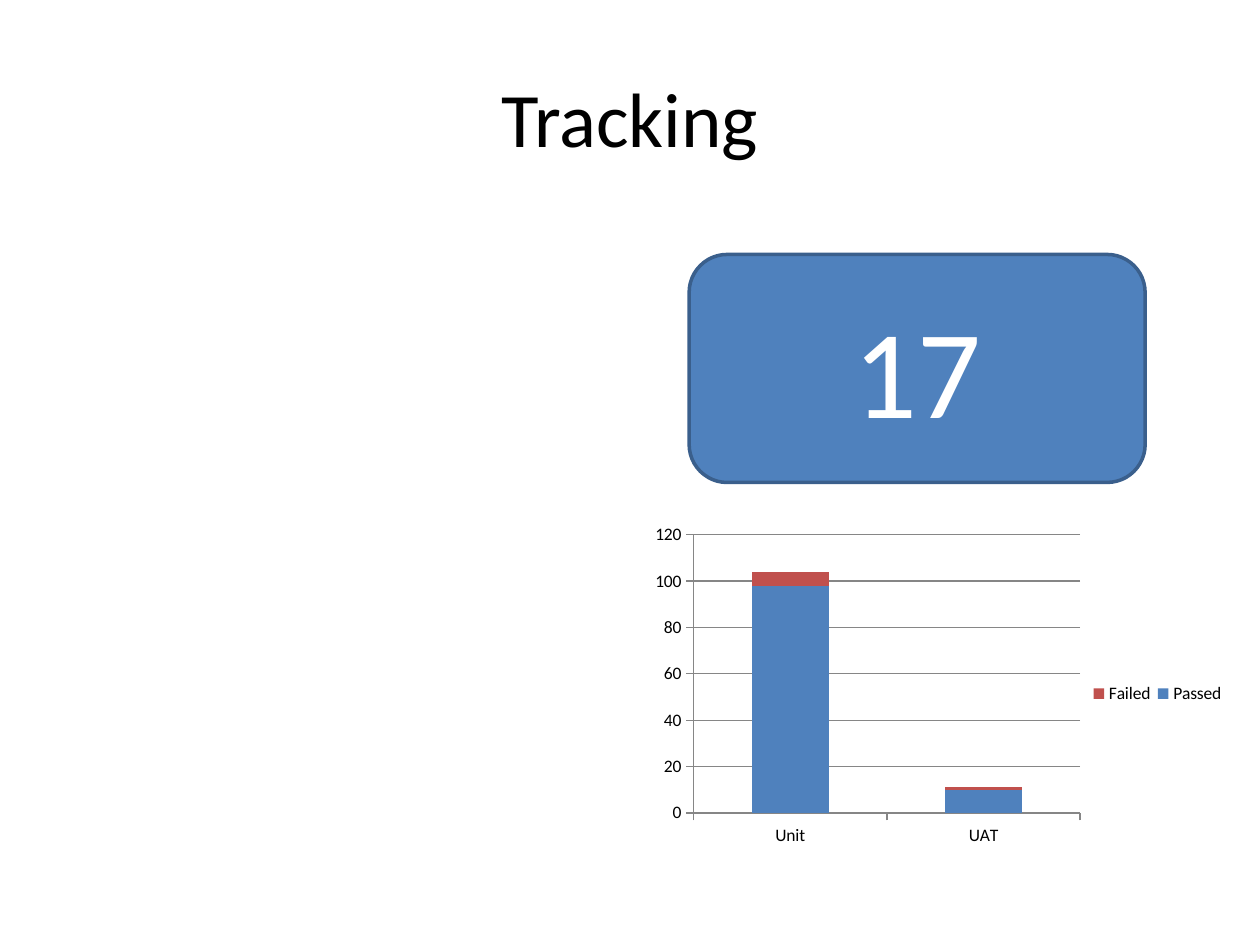
from lxml import etree
from pptx import Presentation
from pptx.chart.data import CategoryChartData
from pptx.dml.color import RGBColor
from pptx.enum.chart import XL_CHART_TYPE, XL_LEGEND_POSITION, XL_TICK_MARK
from pptx.enum.shapes import MSO_SHAPE
from pptx.enum.text import MSO_ANCHOR, PP_ALIGN
from pptx.oxml.ns import qn
from pptx.util import Pt

STACKED = XL_CHART_TYPE.COLUMN_STACKED
RIGHT = XL_LEGEND_POSITION.RIGHT
OUTSIDE = XL_TICK_MARK.OUTSIDE
ROUNDED = MSO_SHAPE.ROUNDED_RECTANGLE
MIDDLE = MSO_ANCHOR.MIDDLE
CENTER = PP_ALIGN.CENTER


def color(hex_value):
    return RGBColor.from_string(hex_value)


def format_font(font, size, hex_value):
    font.name = "Calibri"
    font.size = Pt(size)
    font.color.rgb = color(hex_value)


def write(frame, text, size=18, hex_value="000000", align=CENTER):
    frame.word_wrap = True
    frame.vertical_anchor = MIDDLE
    paragraph = frame.paragraphs[0]
    paragraph.alignment = align
    run = paragraph.add_run()
    run.text = text
    format_font(run.font, size, hex_value)


def place(parent, bounds, inner=False):
    layout = parent.find(qn("c:layout"))
    if layout is None:
        layout = etree.Element(qn("c:layout"))
        parent.insert(0, layout)
    manual = etree.SubElement(layout, qn("c:manualLayout"))
    settings = [("layoutTarget", "inner")] if inner else []
    settings += [("xMode", "edge"), ("yMode", "edge"), *zip("xywh", bounds)]
    for tag, value in settings:
        etree.SubElement(manual, qn(f"c:{tag}")).set("val", str(value))


class Deck:
    """Holds the style and the current slide."""

    accent, border, failure, rule = "4F81BD", "3A5F8C", "C0504D", "868686"

    def __init__(self):
        self.presentation = Presentation()
        self.presentation.slide_width = Pt(720)
        self.presentation.slide_height = Pt(540)
        blank = self.presentation.slide_layouts[6]
        self.shapes = self.presentation.slides.add_slide(blank).shapes

    def title(self, text, *bounds):
        write(self.shapes.add_textbox(*map(Pt, bounds)).text_frame, text, size=44)

    def counter(self, text, *bounds):
        card = self.shapes.add_shape(ROUNDED, *map(Pt, bounds))
        card.shadow.inherit = False
        card.fill.solid()
        card.fill.fore_color.rgb = color(self.accent)
        card.line.color.rgb = color(self.border)
        card.line.width = Pt(2)
        write(card.text_frame, text, size=72, hex_value="FFFFFF")

    def stacked_chart(self, categories, results, *bounds):
        data = CategoryChartData()
        data.categories = categories
        for name, values, _ in results:
            data.add_series(name, values)
        chart = self.shapes.add_chart(STACKED, *map(Pt, bounds), data).chart
        chart.has_title = False
        format_font(chart.font, 10, "000000")
        plot = chart.plots[0]
        plot.gap_width, plot.overlap = 150, 100
        plot.vary_by_categories = False
        for series, (_, _, fill) in zip(plot.series, results):
            series.format.fill.solid()
            series.format.fill.fore_color.rgb = color(fill)
        chart.value_axis.has_major_gridlines = True
        for axis in (chart.category_axis, chart.value_axis):
            axis.major_tick_mark = OUTSIDE
            self.rule_line(axis.format.line)
        self.rule_line(chart.value_axis.major_gridlines.format.line)
        chart.has_legend = True
        chart.legend.position = RIGHT
        chart.legend.include_in_layout = False
        plot_area = chart.element.find(".//" + qn("c:plotArea"))
        place(plot_area, (0.09, 0.09, 0.65, 0.78), inner=True)
        place(chart.element.find(".//" + qn("c:legend")), (0.75, 0.49, 0.24, 0.09))

    def rule_line(self, line):
        line.color.rgb = color(self.rule)
        line.width = Pt(0.75)


def main():
    deck = Deck()
    deck.title("Tracking", 36, 21.6, 648, 90)
    results = [("Passed", (98, 10), deck.accent), ("Failed", (6, 1), deck.failure)]
    deck.stacked_chart(("Unit", "UAT"), results, 365.8, 287.3, 339.8, 203.8)
    deck.counter("17", 393.8, 145.4, 260.6, 130.3)
    deck.presentation.save("out.pptx")


if __name__ == "__main__":
    main()
